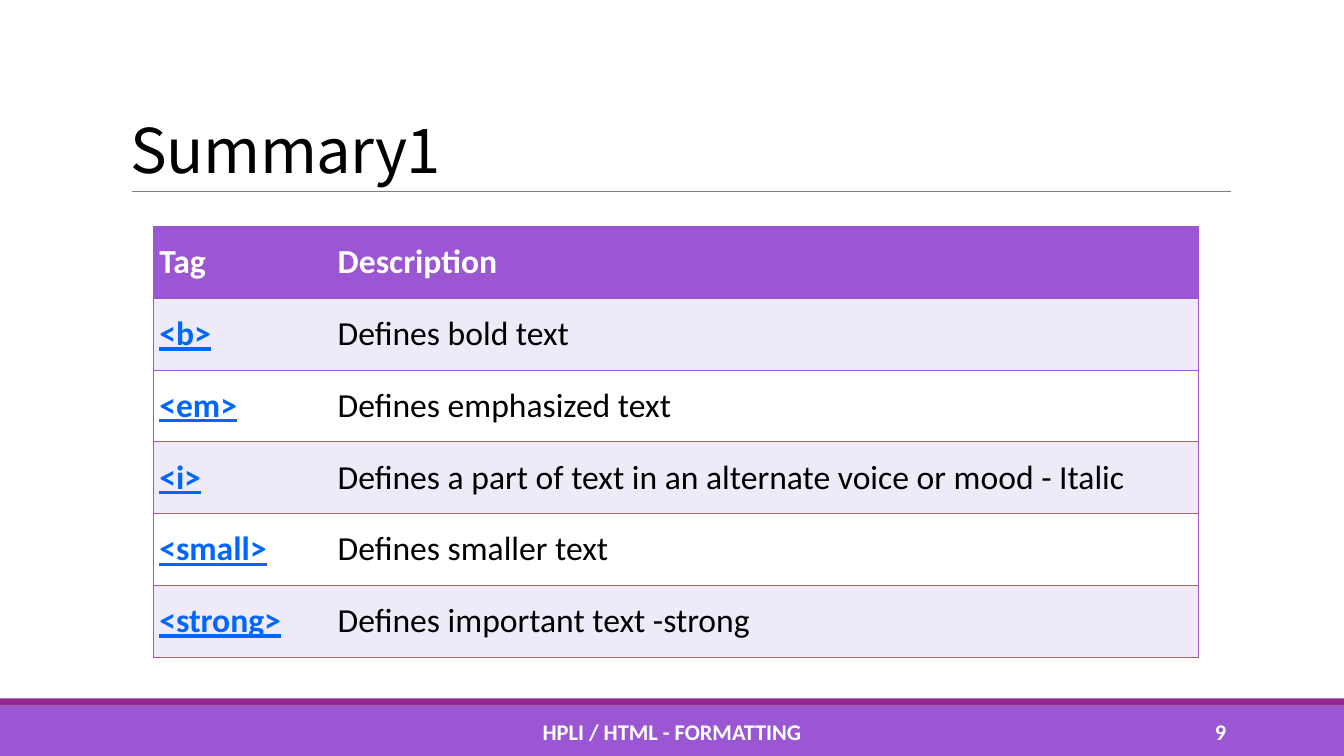
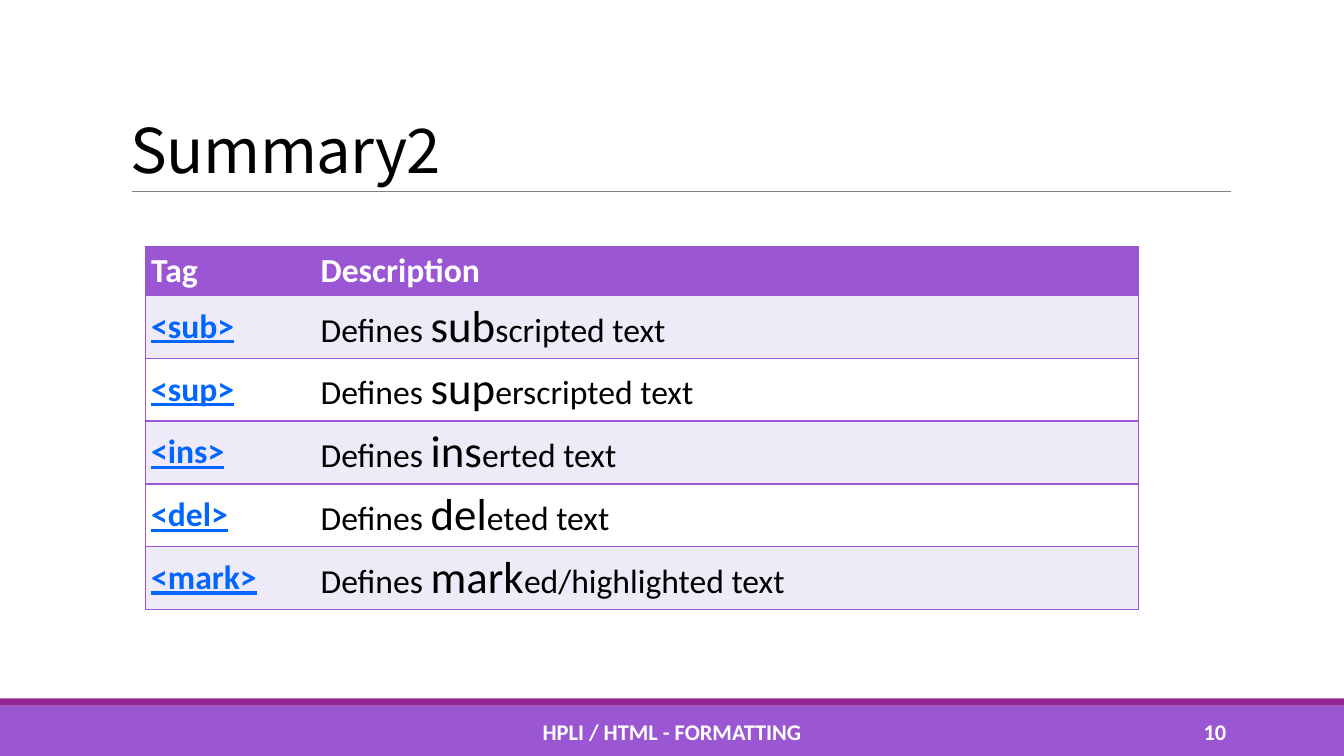
from pptx import Presentation
from pptx.dml.color import RGBColor
from pptx.enum.shapes import MSO_CONNECTOR as CONN, MSO_SHAPE as SHAPE
from pptx.enum.text import MSO_ANCHOR as ANCHOR, PP_ALIGN as ALIGN
from pptx.oxml.ns import qn
from pptx.util import Inches, Pt
from lxml.etree import SubElement

# Shared colours and fonts
PURPLE = RGBColor(0x9B, 0x57, 0xD3)
PLUM = RGBColor(0x92, 0x27, 0x8F)
LILAC = RGBColor(0xEF, 0xEA, 0xF7)
GREY = RGBColor(0x80, 0x80, 0x80)
BLUE = RGBColor(0x00, 0x66, 0xFF)
BLACK = RGBColor(0, 0, 0)
WHITE = RGBColor(0xFF, 0xFF, 0xFF)
BODY_FONT = "Calibri"
TITLE_FONT = "Noto Sans CJK SC"

# Text formats
TITLE = dict(name=TITLE_FONT, size=Pt(44), color=BLACK)
FOOTER = dict(name=BODY_FONT, size=Pt(16), color=WHITE, bold=True)
HEADER = dict(name=BODY_FONT, size=Pt(24), color=WHITE, bold=True)
TAG = {**HEADER, "color": BLUE, "underline": True}
PLAIN = {**HEADER, "color": BLACK, "bold": False}
LARGE = {**PLAIN, "size": Pt(32)}
CELL_MARGINS = dict(margin_left=0.06, margin_right=0.06,
                    margin_top=0.04, margin_bottom=0.04)

FOOTER_TEXT = "HPLI / HTML - FORMATTING"

# Each pair of bars encloses the enlarged part of a description
SLIDES = [
    dict(title="Summary1", number=9, left=1.52, top=2.25,
         widths=(1.77, 8.6), height=4.27, header_height=0.71,
         rows=[("<b>", "Defines bold text"),
               ("<em>", "Defines emphasized text "),
               ("<i>", "Defines a part of text in an alternate voice or mood - Italic"),
               ("<small>", "Defines smaller text"),
               ("<strong>", "Defines important text -strong")]),
    dict(title="Summary2", number=10, left=1.44, top=2.45,
         widths=(1.68, 8.17), height=3.6, header_height=0.48,
         rows=[("<sub>", "Defines |sub|scripted text"),
               ("<sup>", "Defines |sup|erscripted text"),
               ("<ins>", "Defines |ins|erted text"),
               ("<del>", "Defines |del|eted text"),
               ("<mark>", "Defines |mark|ed/highlighted text")]),
]


def add_run(p, text, fmt):
    r = p.add_run()
    r.text = text
    for key, value in fmt.items():
        if key == "color":
            r.font.color.rgb = value
        else:
            setattr(r.font, key, value)
    return r


def add_text(s, box, text, fmt, anchor=ANCHOR.MIDDLE, align=ALIGN.LEFT):
    tf = s.shapes.add_textbox(*map(Inches, box)).text_frame
    tf.word_wrap = True
    tf.vertical_anchor = anchor
    p = tf.paragraphs[0]
    p.alignment = align
    return p, add_run(p, text, fmt)


def add_band(s, top, height, color):
    sp = s.shapes.add_shape(SHAPE.RECTANGLE, 0, Inches(top), Inches(13.33), Inches(height))
    sp.shadow.inherit = False
    sp.fill.solid()
    sp.fill.fore_color.rgb = color
    sp.line.fill.background()


def add_rule(s, left, right, y):
    line = s.shapes.add_connector(CONN.STRAIGHT, *map(Inches, (left, y, right, y)))
    line.line.color.rgb = GREY
    line.line.width = Pt(0.5)
    SubElement(line._element.spPr, qn("a:effectLst"))


def add_title(s, text):
    p, r = add_text(s, (1.2, 0.31, 11, 1.59), text, TITLE, ANCHOR.BOTTOM)
    p.line_spacing = 0.85
    r._r.get_or_add_rPr().set("spc", "-50")


def set_borders(cell, open_side):
    """Outline a cell, leaving the side towards its neighbour open."""
    tcPr = cell._tc.get_or_add_tcPr()
    for side in ("lnL", "lnR", "lnT", "lnB"):
        ln = SubElement(tcPr, qn(f"a:{side}"), w=str(Pt(1)))
        if side == open_side:
            SubElement(ln, qn("a:noFill"))
        else:
            fill = SubElement(ln, qn("a:solidFill"))
            SubElement(fill, qn("a:srgbClr"), val=str(PURPLE))


def fill_cell(cell, text, fmt, color, open_side):
    set_borders(cell, open_side)
    cell.fill.solid()
    cell.fill.fore_color.rgb = color
    cell.vertical_anchor = ANCHOR.MIDDLE
    for key, value in CELL_MARGINS.items():
        setattr(cell, key, Inches(value))
    p = cell.text_frame.paragraphs[0]
    for i, part in enumerate(text.split("|")):
        add_run(p, part, LARGE if i % 2 else fmt)


def add_tag_table(s, left, top, widths, height, header_height, rows):
    table = s.shapes.add_table(len(rows) + 1, len(widths), Inches(left), Inches(top),
                               Inches(sum(widths)), Inches(height)).table
    table.horz_banding = False
    for col, width in zip(table.columns, widths):
        col.width = Inches(width)
    row_height = (height - header_height) / len(rows)
    for i, texts in enumerate([("Tag", "Description"), *rows]):
        table.rows[i].height = Inches(row_height if i else header_height)
        formats = (TAG, PLAIN) if i else (HEADER, HEADER)
        color = (LILAC if i % 2 else WHITE) if i else PURPLE
        for j, (text, fmt, side) in enumerate(zip(texts, formats, ("lnR", "lnL"))):
            fill_cell(table.cell(i, j), text, fmt, color, side)


def add_footer(s, number):
    add_text(s, (4.03, 7.06, 5.27, 0.4), FOOTER_TEXT, FOOTER, align=ALIGN.CENTER)
    add_text(s, (10.83, 7.06, 1.43, 0.4), str(number), FOOTER, align=ALIGN.RIGHT)


def add_summary(prs, title, number, **table):
    s = prs.slides.add_slide(prs.slide_layouts[6])
    add_band(s, 7, 0.5, PURPLE)
    add_band(s, 6.93, 0.07, PLUM)
    add_rule(s, 1.31, 12.21, 1.9)
    add_title(s, title)
    add_tag_table(s, **table)
    add_footer(s, number)


def main():
    prs = Presentation()
    prs.slide_width, prs.slide_height = Inches(13.33), Inches(7.5)
    for content in SLIDES:
        add_summary(prs, **content)
    prs.save("out.pptx")


main()
